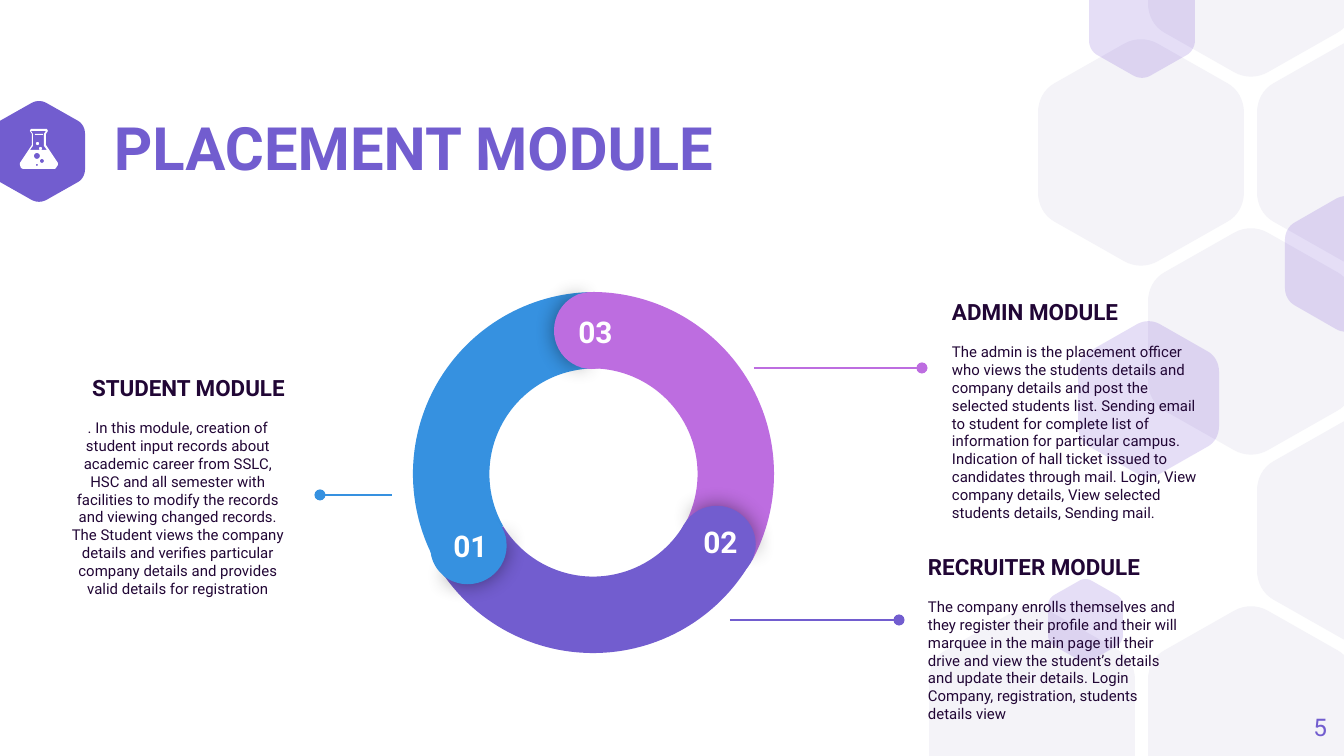
import dataclasses
import math

import lxml.etree
import pptx
import pptx.dml.color
import pptx.enum.shapes
import pptx.enum.text
import pptx.oxml.ns
import pptx.util

RGBColor = pptx.dml.color.RGBColor
MSO_SHAPE = pptx.enum.shapes.MSO_SHAPE
PP_ALIGN = pptx.enum.text.PP_ALIGN
MSO_ANCHOR = pptx.enum.text.MSO_ANCHOR

SLIDE_WIDTH, SLIDE_HEIGHT = 1344, 756
EMU_PER_PX = 9144000 / SLIDE_WIDTH
INSET = 13
FONT = "Roboto"
PURPLE = RGBColor(0x72, 0x5D, 0xCF)
BLUE = RGBColor(0x36, 0x91, 0xE0)
ORCHID = RGBColor(0xBD, 0x6D, 0xE0)
PALE = RGBColor(0xF4, 0xF3, 0xF8)
VIOLET = RGBColor(0x53, 0x22, 0xC9)
INK = RGBColor(0x21, 0x06, 0x35)
WHITE = RGBColor(0xFF, 0xFF, 0xFF)

Point = tuple[float, float]


@dataclasses.dataclass
class Box:
    left: int
    top: int
    width: int
    height: int


@dataclasses.dataclass
class Segment:
    label: str
    color: RGBColor
    rotation: int
    ring: Box
    cap: Box
    label_box: Box


@dataclasses.dataclass
class Module:
    heading: str
    body: str
    box: Box
    heading_align: PP_ALIGN
    body_align: PP_ALIGN
    color: RGBColor
    line_start: int
    line_end: int
    line_y: int


# Column and row of each background hexagon in the honeycomb
HONEYCOMB = [(0, 3), (2, 3), (3, 0), (2, -1), (2, 1), (1, 0), (3, 2)]
TINTED_HEXAGONS = [Box(1285, 196, 122, 136), Box(1048, 579, 75, 83),
                   Box(1089, -39, 106, 117), Box(1078, 321, 141, 156)]
SEGMENTS = [
    Segment("03", ORCHID, 0, Box(410, 292, 364, 364), Box(554, 292, 75, 77), Box(562, 301, 67, 35)),
    Segment("02", PURPLE, 120, Box(411, 289, 364, 364), Box(680, 505, 75, 77), Box(687, 511, 67, 35)),
    Segment("01", BLUE, 240, Box(413, 292, 364, 364), Box(431, 508, 75, 77), Box(437, 515, 67, 35)),
]
MODULES = [
    Module("STUDENT MODULE",
           ". In this module, creation of student input records about academic career from SSLC, "
           "HSC and all semester with facilities to modify the records and viewing changed records. "
           "The Student views the company details and verifies particular company details and "
           "provides valid details for registration",
           Box(58, 361, 240, 250), PP_ALIGN.RIGHT, PP_ALIGN.CENTER, BLUE, 392, 320, 495),
    Module("RECRUITER MODULE",
           "The company enrolls themselves and they register their profile and their will marquee "
           "in the main page till their drive and view the student’s details and update their "
           "details. Login Company, registration, students details view",
           Box(915, 540, 278, 196), PP_ALIGN.LEFT, PP_ALIGN.LEFT, PURPLE, 730, 899, 620),
    Module("ADMIN MODULE",
           "The admin is the placement officer who views the students details and company details "
           "and post the selected students list. Sending email to student for complete list of "
           "information for particular campus. Indication of hall ticket issued to candidates "
           "through mail. Login, View company details, View selected students details, Sending mail.",
           Box(939, 285, 278, 250), PP_ALIGN.LEFT, PP_ALIGN.LEFT, ORCHID, 754, 922, 368),
]
FLASK_OUTLINE = [(31, 129), (47, 129), (48, 131), (46, 134), (46, 145), (58, 163), (58, 165), (56, 168),
                 (55, 169), (23, 169), (21, 168), (20, 165), (20, 163), (32, 145), (32, 134), (30, 131)]
FLASK_NECK = [(31, 131), (46, 131), (44, 134), (44, 146), (47, 150), (30, 150), (33, 146), (33, 134)]
FLASK_BUBBLES = [(37, 156, 3), (42, 161, 2), (37, 165, 1)]
FLASK_MARKS = [(MSO_SHAPE.OVAL, Box(39, 147, 3, 3)), (MSO_SHAPE.OVAL, Box(36, 142, 3, 3)),
               (MSO_SHAPE.RECTANGLE, Box(35, 134, 8, 1))]

# Corner curves of a rounded hexagon spanning -1 to 1 on both axes
TOP_CORNER = [(-0.16, -0.96), (-0.06, -1.01), (0.06, -1.01), (0.16, -0.96)]
UPPER_CORNER = [(0.84, -0.61), (0.94, -0.56), (1, -0.46), (1, -0.35)]
LOWER_CORNER = [(x, -y) for x, y in reversed(UPPER_CORNER)]


def emu(px: float) -> int:
    return pptx.util.Emu(round(px * EMU_PER_PX))


def place(box: Box) -> tuple[int, int, int, int]:
    return emu(box.left), emu(box.top), emu(box.width), emu(box.height)


def paint(shape, color: RGBColor) -> None:
    shape.shadow.inherit = False
    shape.fill.solid()
    shape.fill.fore_color.rgb = color
    shape.line.fill.background()


def add_child(parent, tag: str, **attributes: str):
    return lxml.etree.SubElement(parent, pptx.oxml.ns.qn(tag), attributes)


def add_outline(slide, contours: list[list[Point]], color: RGBColor):
    """Draw closed contours as one shape; inner contours become holes."""
    contours = [[(emu(x), emu(y)) for x, y in contour] for contour in contours]
    builder = slide.shapes.build_freeform(*contours[0][0])
    builder.add_line_segments(contours[0][1:])
    for contour in contours[1:]:
        builder.move_to(*contour[0])
        builder.add_line_segments(contour[1:])
    shape = builder.convert_to_shape()
    paint(shape, color)
    return shape


def curve(controls: list[Point], steps: int = 8) -> list[Point]:
    """Sample a cubic Bezier curve."""
    points = []
    for step in range(steps + 1):
        t = step / steps
        weights = [math.comb(3, i) * t ** i * (1 - t) ** (3 - i) for i in range(4)]
        points.append((sum(w * x for w, (x, _) in zip(weights, controls)),
                       sum(w * y for w, (_, y) in zip(weights, controls))))
    return points


def add_hexagon(slide, box: Box, color: RGBColor, opacity: int = 100) -> None:
    """Draw a rounded hexagon, cut at the slide's top and bottom edges."""
    half = curve(TOP_CORNER) + curve(UPPER_CORNER) + curve(LOWER_CORNER)
    unit = half + [(-x, -y) for x, y in half]
    points = [(box.left + box.width * (1 + x) / 2,
               min(max(box.top + box.height * (1 + y) / 2, 0), SLIDE_HEIGHT)) for x, y in unit]
    shape = add_outline(slide, [points], color)
    if opacity < 100:
        fill_color = shape._element.spPr.find(pptx.oxml.ns.qn("a:solidFill"))[0]
        add_child(fill_color, "a:alpha", val=str(opacity * 1000))


def add_preset(slide, kind: MSO_SHAPE, box: Box, color: RGBColor,
               rotation: float = 0, adjustments: tuple[float, ...] = ()):
    shape = slide.shapes.add_shape(kind, *place(box))
    paint(shape, color)
    shape.rotation = rotation
    for index, value in enumerate(adjustments):
        shape.adjustments[index] = value
    return shape


def add_glow(shape) -> None:
    """Give the shape a soft centred black shadow."""
    effects = shape._element.spPr.find(pptx.oxml.ns.qn("a:effectLst"))
    shadow = add_child(effects, "a:outerShdw", blurRad="142240", algn="ctr", rotWithShape="0")
    black = add_child(shadow, "a:srgbClr", val="000000")
    add_child(black, "a:alpha", val="43000")


def add_text_frame(slide, box: Box, inset: int = 0, anchor: MSO_ANCHOR = MSO_ANCHOR.MIDDLE):
    text_frame = slide.shapes.add_textbox(*place(box)).text_frame
    text_frame.word_wrap = True
    text_frame.vertical_anchor = anchor
    text_frame.margin_left = text_frame.margin_right = emu(inset)
    text_frame.margin_top = text_frame.margin_bottom = emu(inset)
    return text_frame


def write(paragraph, text: str, size: int, color: RGBColor, bold: bool, align: PP_ALIGN) -> None:
    paragraph.text = text
    paragraph.alignment = align
    font = paragraph.runs[0].font
    font.name, font.size, font.bold = FONT, pptx.util.Pt(size), bold
    font.color.rgb = color


def add_module(slide, module: Module) -> None:
    text_frame = add_text_frame(slide, module.box, INSET, MSO_ANCHOR.TOP)
    heading = text_frame.paragraphs[0]
    write(heading, module.heading, 12, INK, True, module.heading_align)
    heading.space_after = pptx.util.Pt(9.5)
    write(text_frame.add_paragraph(), module.body, 8, INK, False, module.body_align)
    connector = slide.shapes.add_connector(
        pptx.enum.shapes.MSO_CONNECTOR.STRAIGHT, emu(module.line_start), emu(module.line_y),
        emu(module.line_end), emu(module.line_y))
    connector.line.color.rgb = module.color
    connector.line.width = pptx.util.Pt(0.75)
    add_child(connector.line._get_or_add_ln(), "a:tailEnd", type="oval")
    add_child(connector._element.spPr, "a:effectLst")


def add_ring(slide) -> None:
    for segment in SEGMENTS:
        add_preset(slide, MSO_SHAPE.BLOCK_ARC, segment.ring, segment.color,
                   segment.rotation + 60, (126.23, 197, 0.21))
    for segment in SEGMENTS:
        add_glow(add_preset(slide, MSO_SHAPE.PIE, segment.cap, segment.color,
                            segment.rotation + 0.7, (61.9, 149.96)))
        add_preset(slide, MSO_SHAPE.PIE, segment.cap, segment.color,
                   (segment.rotation + 180) % 360, (40.28, 171.84))
        text_frame = add_text_frame(slide, segment.label_box, INSET, MSO_ANCHOR.TOP)
        write(text_frame.paragraphs[0], segment.label, 16, WHITE, True, PP_ALIGN.CENTER)


def add_flask(slide) -> None:
    angles = [math.tau * step / 16 for step in range(16)]
    bubbles = [[(x + radius * math.cos(a), y + radius * math.sin(a)) for a in angles]
               for x, y, radius in FLASK_BUBBLES]
    add_outline(slide, [FLASK_OUTLINE, FLASK_NECK, *bubbles], WHITE)
    for kind, box in FLASK_MARKS:
        add_preset(slide, kind, box, WHITE)


def main() -> None:
    presentation = pptx.Presentation()
    presentation.slide_width, presentation.slide_height = emu(SLIDE_WIDTH), emu(SLIDE_HEIGHT)
    slide = presentation.slides.add_slide(presentation.slide_layouts[6])
    add_hexagon(slide, Box(-7, 101, 92, 101), PURPLE)
    for column, row in HONEYCOMB:
        add_hexagon(slide, Box(929 + 219 * column // 2, 39 + 189 * row, 206, 227), PALE)
    for box in TINTED_HEXAGONS:
        add_hexagon(slide, box, VIOLET, 15)
    title = add_text_frame(slide, Box(114, 122, 883, 58)).paragraphs[0]
    write(title, "PLACEMENT MODULE", 32, PURPLE, True, PP_ALIGN.LEFT)
    title.line_spacing = 0.9
    number = add_text_frame(slide, Box(1246, 698, 81, 58)).paragraphs[0]
    write(number, "5", 13, PURPLE, False, PP_ALIGN.RIGHT)
    for module in MODULES:
        add_module(slide, module)
    add_ring(slide)
    add_flask(slide)
    presentation.save("out.pptx")


if __name__ == "__main__":
    main()
